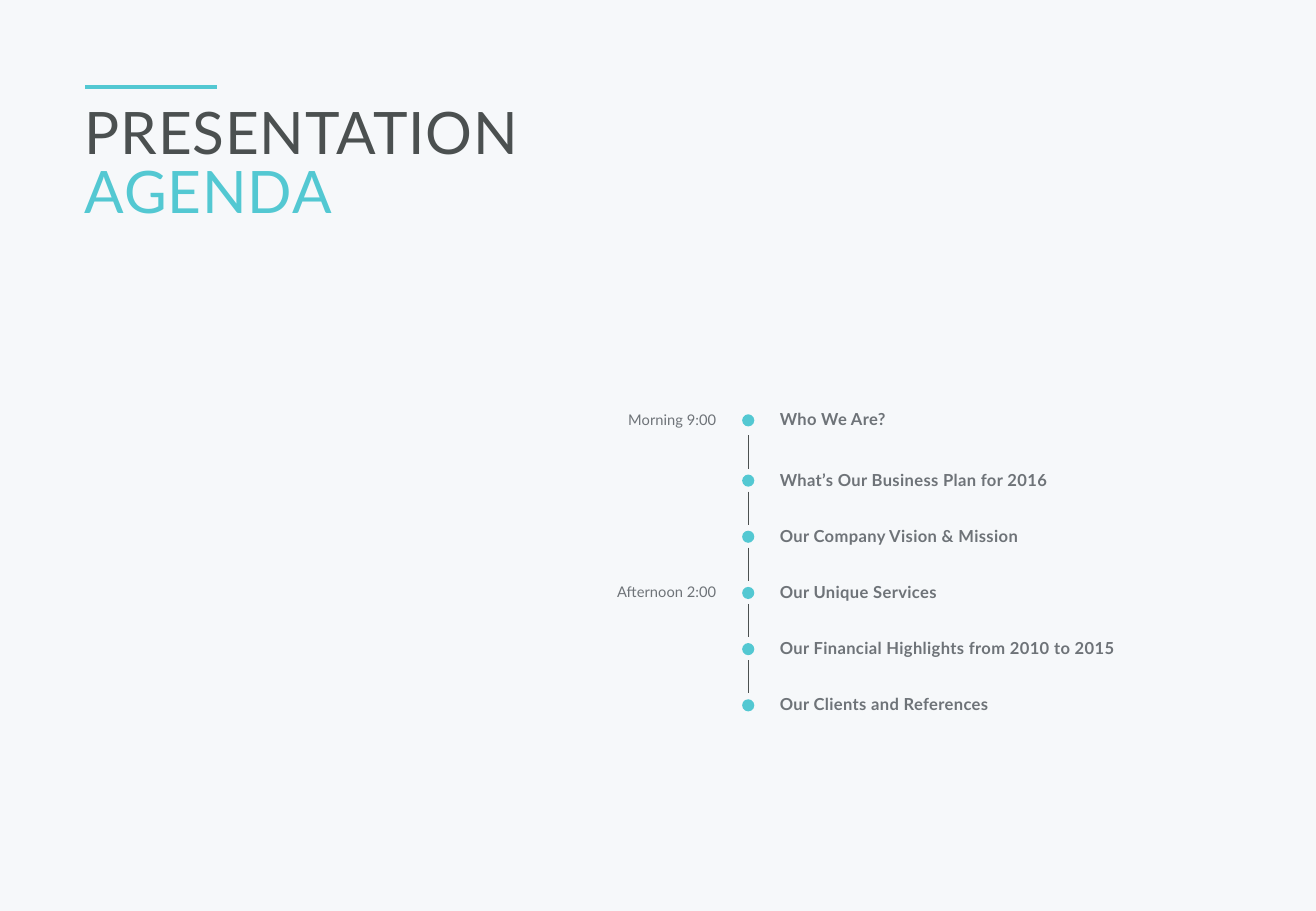
"""Builds the presentation agenda slide with a vertical timeline."""
from pptx import Presentation
from pptx.dml.color import RGBColor
from pptx.enum.shapes import MSO_CONNECTOR, MSO_SHAPE
from pptx.enum.text import MSO_AUTO_SIZE, PP_ALIGN
from pptx.oxml.ns import qn
from pptx.util import Pt

COLORS = {"background": "F6F8FA", "accent": "53C8D2", "dark": "4B5050", "gray": "6E7378"}


def add_text(left, top, width, height, lines, size, bold=False, spacing=0, align=PP_ALIGN.LEFT):
    box = slide.shapes.add_textbox(Pt(left), Pt(top), Pt(width), Pt(height))
    frame = box.text_frame
    frame.margin_left = frame.margin_top = frame.margin_right = frame.margin_bottom = 0
    frame.word_wrap = True
    frame.auto_size = MSO_AUTO_SIZE.SHAPE_TO_FIT_TEXT
    frame.text = "\n".join(text for text, color in lines)
    for paragraph, (text, color) in zip(frame.paragraphs, lines):
        paragraph.alignment = align
        run = paragraph.runs[0]
        run.font.name = "Lato"
        run.font.size = Pt(size)
        run.font.bold = bold
        run.font.color.rgb = RGBColor.from_string(COLORS[color])
        if spacing:
            run.font._element.set("spc", str(spacing))
    return frame


def add_line(left, top, right, bottom, color, width):
    line = slide.shapes.add_connector(MSO_CONNECTOR.STRAIGHT, Pt(left), Pt(top), Pt(right), Pt(bottom))
    line.line.color.rgb = RGBColor.from_string(COLORS[color])
    line.line.width = Pt(width)
    properties = line._element.spPr
    properties.append(properties.makeelement(qn("a:effectLst"), {}))


presentation = Presentation()
presentation.slide_width = Pt(780)
presentation.slide_height = Pt(540)
slide = presentation.slides.add_slide(presentation.slide_layouts[6])
slide.background.fill.solid()
slide.background.fill.fore_color.rgb = RGBColor.from_string(COLORS["background"])

add_line(50.4, 51.7, 128.7, 51.7, "accent", 2.25)
title = add_text(50.4, 64.1, 679, 70.6, [("PRESENTATION", "dark"), ("AGENDA", "accent")], 34.7, spacing=50)
for paragraph in title.paragraphs:
    paragraph.line_spacing = Pt(34.7)

agenda = [
    ("Morning 9:00", "Who We Are?"),
    ("", "What’s Our Business Plan for 2016"),
    ("", "Our Company Vision & Mission"),
    ("Afternoon 2:00", "Our Unique Services"),
    ("", "Our Financial Highlights from 2010 to 2015"),
    ("", "Our Clients and References"),
]
first_top, second_top, row_step = 242.7, 278.4, 33.3
axis, dot_size, link_length = 443.5, 7.2, 19.7

for row, (time, topic) in enumerate(agenda):
    top = second_top + (row - 1) * row_step if row else first_top
    add_text(462.2, top, 267.1, 11.8, [(topic, "gray")], 9.8, bold=True, spacing=20)
    if time:
        add_text(344, top + 0.6, 80.6, 10.5, [(time, "gray")], 8.7, align=PP_ALIGN.RIGHT)
    dot = slide.shapes.add_shape(
        MSO_SHAPE.OVAL, Pt(axis - dot_size / 2), Pt(top + 2.9), Pt(dot_size), Pt(dot_size))
    dot.shadow.inherit = False
    dot.fill.solid()
    dot.fill.fore_color.rgb = RGBColor.from_string(COLORS["accent"])
    dot.line.fill.background()
    if row:
        link_end = top - 0.6
        add_line(axis, link_end - link_length, axis, link_end, "dark", 0.75)

presentation.save("out.pptx")
